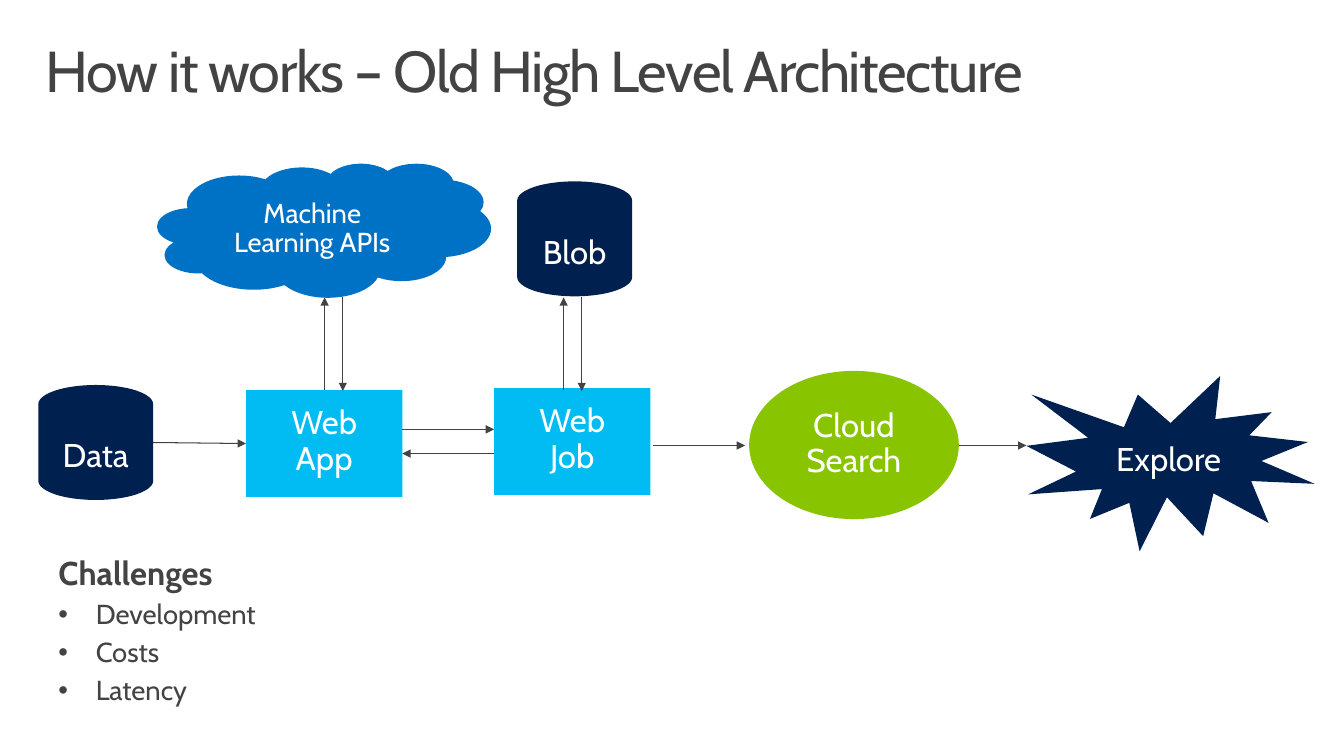
from dataclasses import dataclass

from lxml import etree
from pptx import Presentation
from pptx.dml.color import RGBColor
from pptx.enum.shapes import MSO_CONNECTOR, MSO_SHAPE
from pptx.enum.text import MSO_ANCHOR, MSO_AUTO_SIZE, PP_ALIGN
from pptx.oxml.ns import qn
from pptx.util import Inches, Pt

DISK = MSO_SHAPE.FLOWCHART_MAGNETIC_DISK
RECT = MSO_SHAPE.RECTANGLE
CLOUD = MSO_SHAPE.CLOUD
OVAL = MSO_SHAPE.OVAL
BURST = MSO_SHAPE.EXPLOSION1
LINE = MSO_CONNECTOR.STRAIGHT
TOP = MSO_ANCHOR.TOP
LEFT, CENTER = PP_ALIGN.LEFT, PP_ALIGN.CENTER
GROW, FIXED = MSO_AUTO_SIZE.SHAPE_TO_FIT_TEXT, MSO_AUTO_SIZE.NONE


@dataclass(frozen=True)
class Theme:
    """Hold the colours, font and type sizes."""
    font: str = "Cabin"
    ink: str = "434343"
    white: str = "FFFFFF"
    navy: str = "002050"
    blue: str = "0072C6"
    sky: str = "00BCF2"
    green: str = "89C400"
    title: float = 41.2
    large: float = 23.5
    small: float = 19.6
    line: float = 0.75
    after: float = 5.9


THEME = Theme()


def place(shape, left, top, width, height):
    """Move and size a placeholder."""
    shape.left, shape.top = Inches(left), Inches(top)
    shape.width, shape.height = Inches(width), Inches(height)


def set_frame(frame, side, edge, fit):
    """Set the insets, anchor and fit of a text frame."""
    frame.margin_left = frame.margin_right = Inches(side)
    frame.margin_top = frame.margin_bottom = Inches(edge)
    frame.vertical_anchor = TOP
    frame.word_wrap = True
    frame.auto_size = fit


def style(para, size, color, align=LEFT, bold=False, after=0):
    """Format a paragraph and its runs."""
    para.alignment = align
    para.line_spacing = 0.9
    para.space_before = Pt(0)
    para.space_after = Pt(after)
    for run in para.runs:
        run.font.name = THEME.font
        run.font.size = Pt(size)
        run.font.bold = bold
        run.font.color.rgb = RGBColor.from_string(color)


def set_bullet(para, mark=None):
    """Give a paragraph a hanging bullet, or none."""
    props = para._p.get_or_add_pPr()
    hang = Inches(0.37) if mark else 0
    props.set("marL", str(hang))
    props.set("indent", str(-hang))
    if mark:
        etree.SubElement(props, qn("a:buFont")).set("typeface", "Arial")
        etree.SubElement(props, qn("a:buChar")).set("char", mark)
    else:
        etree.SubElement(props, qn("a:buNone"))


def add_title(slide, text):
    """Fill the title placeholder."""
    title = slide.shapes.title
    place(title, 0.29, 0.32, 12.75, 0.98)
    frame = title.text_frame
    frame.text = text
    set_frame(frame, 0.16, 0.1, FIXED)
    para = frame.paragraphs[0]
    style(para, THEME.title, THEME.ink)
    para.runs[0]._r.get_or_add_rPr().set("spc", "-100")


def add_list(slide, head, items):
    """Fill the body placeholder with a heading and bullets."""
    body = slide.placeholders[1]
    place(body, 0.38, 5.37, 4.08, 1.81)
    frame = body.text_frame
    frame.text = "\n".join([head, *items])
    set_frame(frame, 0.2, 0.16, GROW)
    first, *rest = frame.paragraphs
    set_bullet(first)
    style(first, THEME.large, THEME.ink, bold=True, after=THEME.after)
    for para in rest:
        set_bullet(para, "•")
        style(para, THEME.small, THEME.ink, after=THEME.after)


def add_node(slide, kind, text, fill, box, size=THEME.large):
    """Draw a filled shape with its label."""
    node = slide.shapes.add_shape(kind, *map(Inches, box))
    node.shadow.inherit = False
    node.fill.solid()
    node.fill.fore_color.rgb = RGBColor.from_string(fill)
    node.line.fill.background()
    frame = node.text_frame
    frame.text = text
    set_frame(frame, 0.2, 0.16, FIXED)
    style(frame.paragraphs[0], size, THEME.white, CENTER)


def add_arrow(slide, *ends):
    """Draw a thin arrow from the first point to the second."""
    arrow = slide.shapes.add_connector(LINE, *map(Inches, ends))
    arrow.line.width = Pt(THEME.line)
    arrow.line.color.rgb = RGBColor.from_string(THEME.ink)
    tail = etree.SubElement(arrow.line._get_or_add_ln(), qn("a:tailEnd"))
    tail.set("type", "triangle")
    etree.SubElement(arrow._element.spPr, qn("a:effectLst"))


def main():
    """Build and save the slide."""
    deck = Presentation()
    deck.slide_width, deck.slide_height = Inches(13.33), Inches(7.5)
    slide = deck.slides.add_slide(deck.slide_layouts[1])
    add_title(slide, "How it works – Old High Level Architecture")
    for kind, text, fill, box in (
        (DISK, "Data", THEME.navy, (0.38, 3.82, 1.14, 1.14)),
        (DISK, "Blob", THEME.navy, (5.13, 1.8, 1.14, 1.14)),
        (RECT, "Web App", THEME.sky, (2.44, 3.87, 1.55, 1.06)),
        (RECT, "Web Job", THEME.sky, (4.9, 3.85, 1.55, 1.06)),
        (OVAL, "Cloud Search", THEME.green, (7.43, 3.68, 2.08, 1.47)),
        (BURST, "Explore", THEME.navy, (10.18, 3.73, 2.86, 1.74)),
    ):
        add_node(slide, kind, text, fill, box)
    add_node(slide, CLOUD, "Machine Learning APIs", THEME.blue,
             (1.56, 1.62, 3.31, 1.33), THEME.small)
    for ends in (
        (1.52, 4.39, 2.44, 4.4),
        (3.99, 4.26, 4.9, 4.26),
        (4.9, 4.5, 3.99, 4.5),
        (6.48, 4.42, 7.39, 4.42),
        (9.51, 4.42, 10.18, 4.42),
    ):
        add_arrow(slide, *ends)
    for left in (3.22, 5.59):
        right = left + 0.18
        add_arrow(slide, left, 3.87, left, 2.95)
        add_arrow(slide, right, 2.95, right, 3.88)
    add_list(slide, "Challenges", ("Development", "Costs", "Latency"))
    deck.save("out.pptx")


if __name__ == "__main__":
    main()
